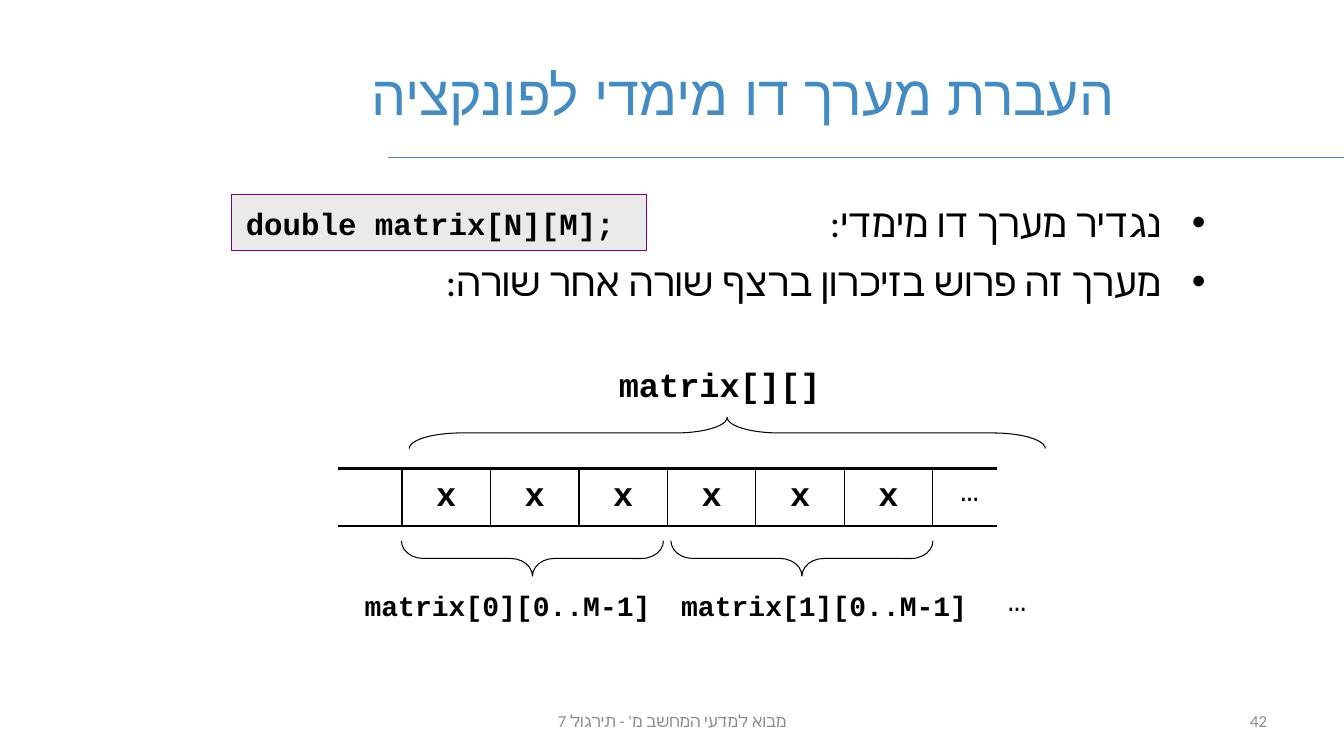
from lxml.etree import SubElement
from pptx import Presentation
from pptx.dml.color import RGBColor
from pptx.enum.shapes import MSO_CONNECTOR as CONN, MSO_SHAPE as SHAPE
from pptx.enum.text import MSO_ANCHOR as ANCHOR, MSO_AUTO_SIZE as AUTO, PP_ALIGN as ALIGN
from pptx.oxml.ns import qn
from pptx.util import Pt

COLORS = {"title": "438BC4", "rule": "4B7EBC", "text": "000000", "code_fill": "EAEAEA",
          "code_line": "800080", "footer": "8C8C8C"}
TITLE = {"size": Pt(39.6), "name": "Arial"}
BODY = {"size": Pt(28), "name": "Calibri"}
FOOTER = {"size": Pt(12), "name": "Calibri"}
DOTS = {"size": Pt(22), "name": "Courier New"}
EDGES = {"L": 1, "R": 1, "T": 2.25, "B": 2.25}


def code(size):
    return {"size": Pt(size), "name": "Courier New", "bold": True}


def rgb(key):
    return RGBColor.from_string(COLORS[key])


def write(p, text, fmt, color="text", align=ALIGN.LEFT, rtl=False):
    p.alignment = align
    if rtl:
        p._p.get_or_add_pPr().set("rtl", "1")
    r = p.add_run()
    r.text = text
    for name, value in fmt.items():
        setattr(r.font, name, value)
    r.font.color.rgb = rgb(color)
    SubElement(r._r.get_or_add_rPr(), qn("a:cs"), typeface=fmt["name"])


def place(sp, left, top, width, height):
    sp.left, sp.top, sp.width, sp.height = Pt(left), Pt(top), Pt(width), Pt(height)


def add_label(slide, box, text, fmt, anchor=ANCHOR.TOP, **style):
    tf = slide.shapes.add_textbox(*map(Pt, box)).text_frame
    tf.word_wrap = True
    tf.vertical_anchor = anchor
    write(tf.paragraphs[0], text, fmt, **style)


def add_rule(slide, start, end, y):
    line = slide.shapes.add_connector(CONN.STRAIGHT, Pt(start), Pt(y), Pt(end), Pt(y))
    line.line.color.rgb = rgb("rule")
    line.line.width = Pt(0.75)
    SubElement(line._element.spPr, qn("a:effectLst"))


def add_title(slide, text):
    title = slide.shapes.title
    place(title, 257.8, 21.6, 545.8, 90)
    tf = title.text_frame
    tf.auto_size = AUTO.NONE
    tf.vertical_anchor = ANCHOR.MIDDLE
    write(tf.paragraphs[0], text, TITLE, "title", ALIGN.RIGHT, True)


def add_bullets(slide, items):
    body = slide.placeholders[1]
    place(body, 165.6, 138.2, 702.7, 371.5)
    tf = body.text_frame
    tf.auto_size = AUTO.NONE
    for i, text in enumerate(items):
        p = tf.add_paragraph() if i else tf.paragraphs[0]
        pPr = p._p.get_or_add_pPr()
        pPr.set("marL", str(Pt(31.5)))
        pPr.set("indent", str(Pt(-31.5)))
        p.space_before = Pt(8.4 if i else 0)
        write(p, text, BODY, align=ALIGN.RIGHT, rtl=True)


def add_code_box(slide, box, text):
    sp = slide.shapes.add_shape(SHAPE.RECTANGLE, *map(Pt, box))
    sp.shadow.inherit = False
    sp.fill.solid()
    sp.fill.fore_color.rgb = rgb("code_fill")
    sp.line.color.rgb = rgb("code_line")
    sp.line.width = Pt(0.75)
    tf = sp.text_frame
    tf.margin_left = tf.margin_right = Pt(10)
    tf.margin_top = tf.margin_bottom = Pt(6.5)
    write(tf.paragraphs[0], text, code(22))


def add_brace(slide, box, rotation, curl):
    sp = slide.shapes.add_shape(SHAPE.RIGHT_BRACE, *map(Pt, box))
    sp.rotation = rotation
    sp.adjustments[0] = curl
    sp.shadow.inherit = False
    sp.fill.background()
    sp.line.color.rgb = rgb("text")
    sp.line.width = Pt(0.75)


def set_borders(cell, open_side):
    tcPr = cell._tc.get_or_add_tcPr()
    for side, width in EDGES.items():
        ln = SubElement(tcPr, qn(f"a:ln{side}"), w=str(Pt(width)))
        if side == open_side:
            SubElement(ln, qn("a:noFill"))
        else:
            fill = SubElement(ln, qn("a:solidFill"))
            SubElement(fill, qn("a:srgbClr"), val=COLORS["text"])


def add_memory_row(slide, left, top, height, values):
    widths = [46] + [63.2] * len(values) + [46]
    frame = slide.shapes.add_table(1, len(widths), Pt(left), Pt(top), Pt(sum(widths)), Pt(height))
    table = frame.table
    table.first_row = table.horz_banding = False
    table.rows[0].height = Pt(height)
    open_sides = {0: "L", len(widths) - 1: "R"}
    for i, (width, text) in enumerate(zip(widths, ["", *values, ""])):
        table.columns[i].width = Pt(width)
        cell = table.cell(0, i)
        set_borders(cell, open_sides.get(i))
        cell.fill.background()
        cell.vertical_anchor = ANCHOR.MIDDLE
        if text:
            write(cell.text_frame.paragraphs[0], text, code(24), align=ALIGN.CENTER)


def main():
    """Build the slide on passing a two-dimensional array to a function."""
    prs = Presentation()
    prs.slide_width, prs.slide_height = Pt(960), Pt(540)
    slide = prs.slides.add_slide(prs.slide_layouts[1])

    add_rule(slide, 960, 277.2, 112.3)
    add_title(slide, "העברת מערך דו מימדי לפונקציה")
    add_rule(slide, 840.2, 328.3, 112.3)
    add_bullets(slide, ["נגדיר מערך דו מימדי:", "מערך זה פרוש בזיכרון ברצף שורה אחר שורה:"])
    add_code_box(slide, (165.6, 139, 296, 40.3), "double matrix[N][M];")

    add_label(slide, (434.9, 256.3, 170, 36), "matrix[][]", code(24))
    add_memory_row(slide, 241.2, 334.8, 41, ["x"] * 6)
    add_brace(slide, (508.3, 82.1, 22.3, 454.3), 270, 1.67)
    for row, left in enumerate((253.4, 479.5)):
        add_brace(slide, (367.7 + row * 192.5, 305.3, 25.2, 187.2), 90, 0.62)
        add_label(slide, (left, 416.9, 225, 31), f"matrix[{row}][0..M-1]", code(20))
    for left, top in ((679, 332.6), (712.8, 411.1)):
        add_label(slide, (left, top, 45.4, 33.8), "…", DOTS)

    footer = {"anchor": ANCHOR.MIDDLE, "color": "footer", "rtl": True}
    add_label(slide, (328.3, 500.4, 303.8, 28.8), "מבוא למדעי המחשב מ' - תירגול 7",
              FOOTER, align=ALIGN.CENTER, **footer)
    add_label(slide, (688.3, 500.4, 223.9, 28.8), "42", FOOTER, align=ALIGN.RIGHT, **footer)
    prs.save("out.pptx")


if __name__ == "__main__":
    main()
